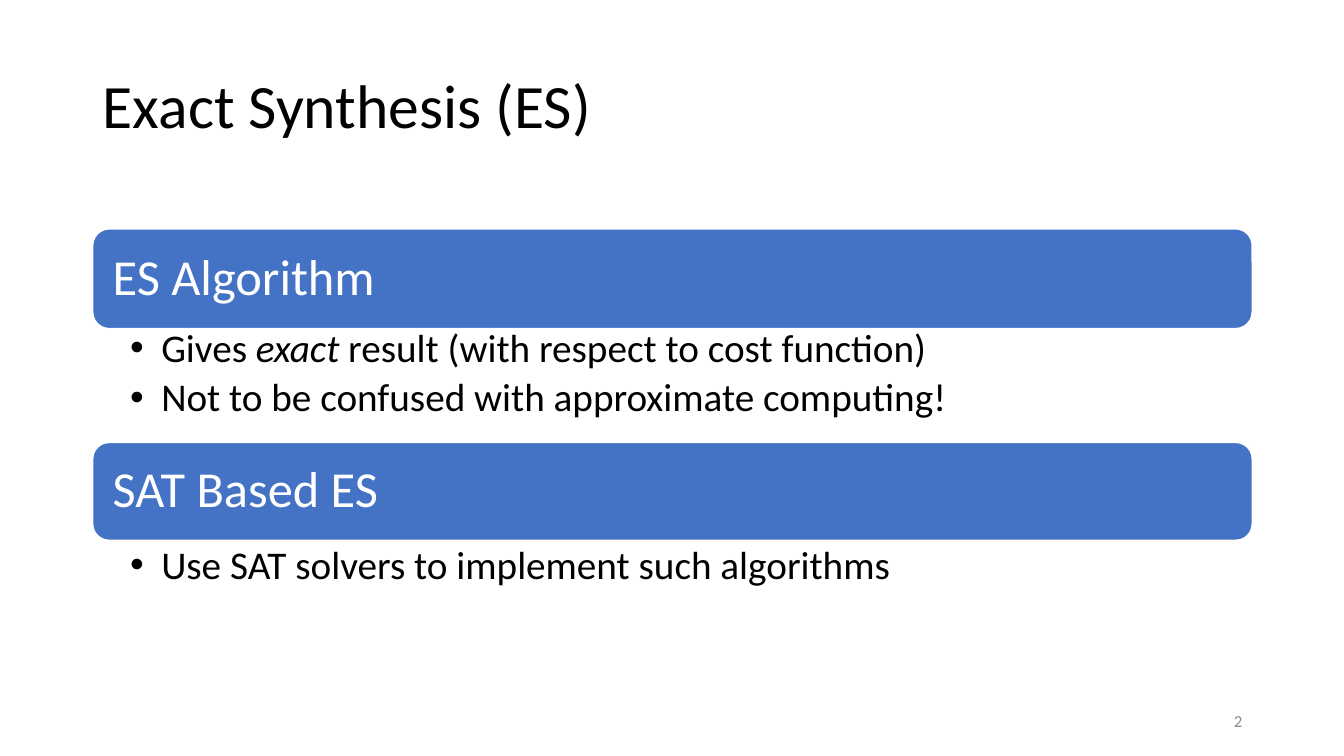
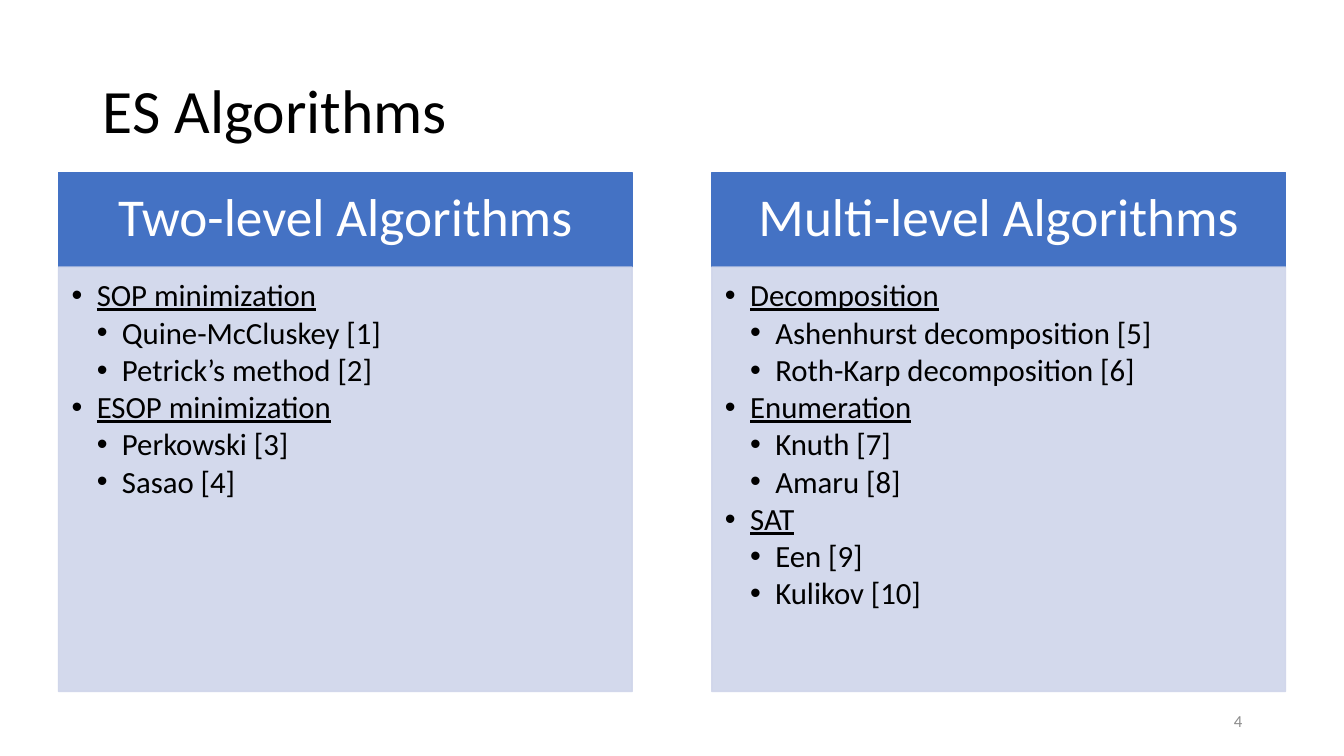
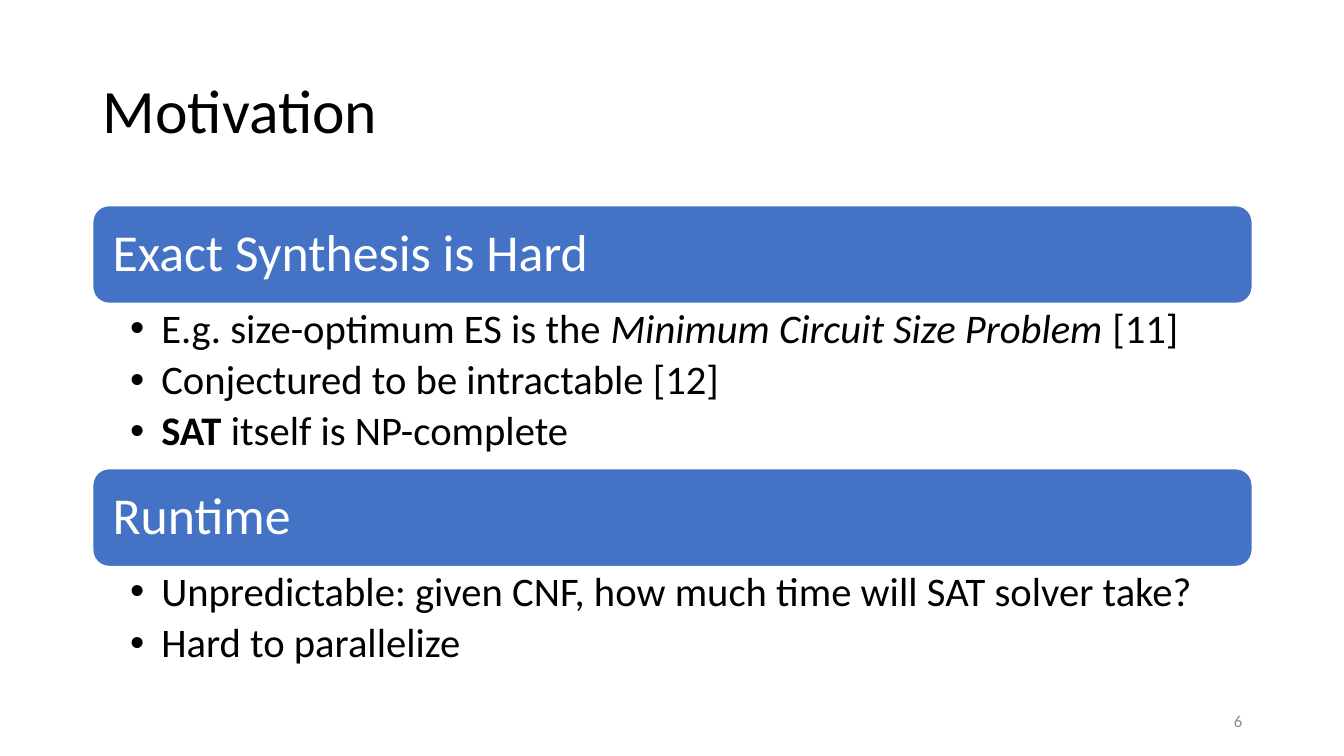
from lxml import etree
from pptx import Presentation
from pptx.dml.color import RGBColor
from pptx.enum.shapes import MSO_SHAPE
from pptx.enum.text import MSO_ANCHOR, MSO_AUTO_SIZE, PP_ALIGN
from pptx.oxml.ns import qn
from pptx.util import Inches, Pt

RECTANGLE, ROUNDED = MSO_SHAPE.RECTANGLE, MSO_SHAPE.ROUNDED_RECTANGLE
TOP, MIDDLE = MSO_ANCHOR.TOP, MSO_ANCHOR.MIDDLE
LEFT, CENTER, RIGHT = PP_ALIGN.LEFT, PP_ALIGN.CENTER, PP_ALIGN.RIGHT
NO_AUTOFIT = MSO_AUTO_SIZE.NONE

BLACK = RGBColor(0x00, 0x00, 0x00)
WHITE = RGBColor(0xFF, 0xFF, 0xFF)
BLUE = RGBColor(0x44, 0x72, 0xC4)
PALE_BLUE = RGBColor(0xCF, 0xD5, 0xEA)
GRAY = RGBColor(0x8C, 0x8C, 0x8C)
FONT = "Calibri"
MARGIN, CONTENT_WIDTH = 0.92, 11.5


def set_text(shape, paragraphs, size, color, anchor, align, insets,
             spacing=0.9, space_after=0, indent=None):
    """Fill a shape; a paragraph is (level, [(text, style letters), ...])."""
    frame = shape.text_frame
    frame.word_wrap = True
    frame.auto_size = NO_AUTOFIT
    frame.vertical_anchor = anchor
    (frame.margin_left, frame.margin_top,
     frame.margin_right, frame.margin_bottom) = map(Inches, insets)
    for index, (level, runs) in enumerate(paragraphs):
        paragraph = frame.add_paragraph() if index else frame.paragraphs[0]
        paragraph.alignment = align
        paragraph.line_spacing = spacing
        paragraph.space_before = Pt(0)
        paragraph.space_after = Pt(space_after)
        if indent:
            properties = paragraph._p.get_or_add_pPr()
            properties.set("marL", str(Inches(indent * level)))
            properties.set("indent", str(-Inches(indent)))
            etree.SubElement(properties, qn("a:buFont"), typeface="Arial")
            etree.SubElement(properties, qn("a:buChar"), char="•")
        for text, style in runs:
            run = paragraph.add_run()
            run.text = text
            run.font.name = FONT
            run.font.size = Pt(size)
            run.font.color.rgb = color
            run.font.bold = "b" in style
            run.font.italic = "i" in style
            run.font.underline = "u" in style


def add_box(slide, kind, box, fill, line):
    shape = slide.shapes.add_shape(kind, *map(Inches, box))
    shape.shadow.inherit = False
    shape.fill.solid()
    shape.fill.fore_color.rgb = fill
    shape.line.color.rgb = line
    shape.line.width = Pt(1)
    return shape


presentation = Presentation()
presentation.slide_width = Inches(13.33)
presentation.slide_height = Inches(7.5)
title_only = presentation.slide_layouts[5]

# Titles and slide numbers
slides = []
for title, title_top, number in [
    ("Exact Synthesis (ES)", 0.35, "2"),
    ("ES Algorithms", 0.4, "4"),
    ("Motivation", 0.4, "6"),
]:
    slide = presentation.slides.add_slide(title_only)
    heading = slide.shapes.title
    heading.left, heading.top = Inches(MARGIN), Inches(title_top)
    heading.width, heading.height = Inches(CONTENT_WIDTH), Inches(1.45)
    set_text(heading, [(1, [(title, "")])], 44, BLACK, MIDDLE, LEFT,
             (0.1, 0.05, 0.1, 0.05))
    number_box = slide.shapes.add_textbox(
        Inches(9.42), Inches(6.95), Inches(3), Inches(0.4))
    set_text(number_box, [(1, [(number, "")])], 12, GRAY, MIDDLE, RIGHT,
             (0.1, 0.05, 0.1, 0.05), spacing=1.0)
    slides.append(slide)
synthesis_slide, algorithms_slide, motivation_slide = slides

# Rounded bands with bullets below:
# slide, band size, bullet size, band top, band height, bullet top, band text, bullets
sections = [
    (synthesis_slide, 36, 28, 2.27, 0.99, 3.21, "ES Algorithm", [
        [("Gives ", ""), ("exact", "i"),
         (" result (with respect to cost function)", "")],
        [("Not to be confused with approximate computing!", "")],
    ]),
    (synthesis_slide, 36, 28, 4.39, 0.97, 5.36, "SAT Based ES", [
        [("Use SAT solvers to implement such algorithms", "")],
    ]),
    (motivation_slide, 37, 29, 2.04, 0.97, 3.01, "Exact Synthesis is Hard", [
        [("E.g. size-optimum ES is the ", ""),
         ("Minimum Circuit Size Problem", "i"), (" [11]", "")],
        [("Conjectured to be intractable [12]", "")],
        [("SAT", "b"), (" itself is NP-complete", "")],
    ]),
    (motivation_slide, 37, 29, 4.65, 0.97, 5.62, "Runtime", [
        [("Unpredictable: given CNF, how much time will SAT solver take?", "")],
        [("Hard to parallelize", "")],
    ]),
]
for (slide, band_size, bullet_size, band_top, band_height,
     bullet_top, band_text, bullets) in sections:
    band = add_box(slide, ROUNDED,
                   (MARGIN, band_top, CONTENT_WIDTH, band_height), BLUE, WHITE)
    set_text(band, [(1, [(band_text, "")])], band_size, WHITE, MIDDLE, LEFT,
             (0.15, 0.1, 0.15, 0.1))
    bullet_box = slide.shapes.add_textbox(
        Inches(MARGIN), Inches(bullet_top), Inches(CONTENT_WIDTH),
        Inches(0.55 * len(bullets)))
    set_text(bullet_box, [(1, runs) for runs in bullets], bullet_size, BLACK,
             TOP, LEFT, (0.37, 0.05, 0.22, 0.05),
             space_after=0.18 * bullet_size, indent=0.31)

# Two columns of algorithm families
columns = [
    ("Two-level Algorithms", [
        ("SOP minimization", ["Quine-McCluskey [1]", "Petrick’s method [2]"]),
        ("ESOP minimization", ["Perkowski [3]", "Sasao [4]"]),
    ]),
    ("Multi-level Algorithms", [
        ("Decomposition",
         ["Ashenhurst decomposition [5]", "Roth-Karp decomposition [6]"]),
        ("Enumeration", ["Knuth [7]", "Amaru [8]"]),
        ("SAT", ["Een [9]", "Kulikov [10]"]),
    ]),
]
COLUMN_WIDTH, COLUMN_STEP = 5.69, 6.48
for index, (column_title, families) in enumerate(columns):
    column_left = 0.58 + index * COLUMN_STEP
    header = add_box(algorithms_slide, RECTANGLE,
                     (column_left, 1.71, COLUMN_WIDTH, 0.94), BLUE, BLUE)
    set_text(header, [(1, [(column_title, "")])], 38, WHITE, MIDDLE, CENTER,
             (0.3, 0.17, 0.3, 0.17))
    panel = add_box(algorithms_slide, RECTANGLE,
                    (column_left, 2.65, COLUMN_WIDTH, 4.21), PALE_BLUE, PALE_BLUE)
    for color in panel._element.spPr.iter(qn("a:srgbClr")):
        etree.SubElement(color, qn("a:alpha"), val="90000")
    entries = []
    for family, methods in families:
        entries.append((1, [(family, "u")]))
        entries += [(2, [(method, "")]) for method in methods]
    set_text(panel, entries, 22, BLACK, TOP, LEFT, (0.13, 0.13, 0.17, 0.19),
             space_after=0.13 * 22, indent=0.25)

presentation.save("out.pptx")
